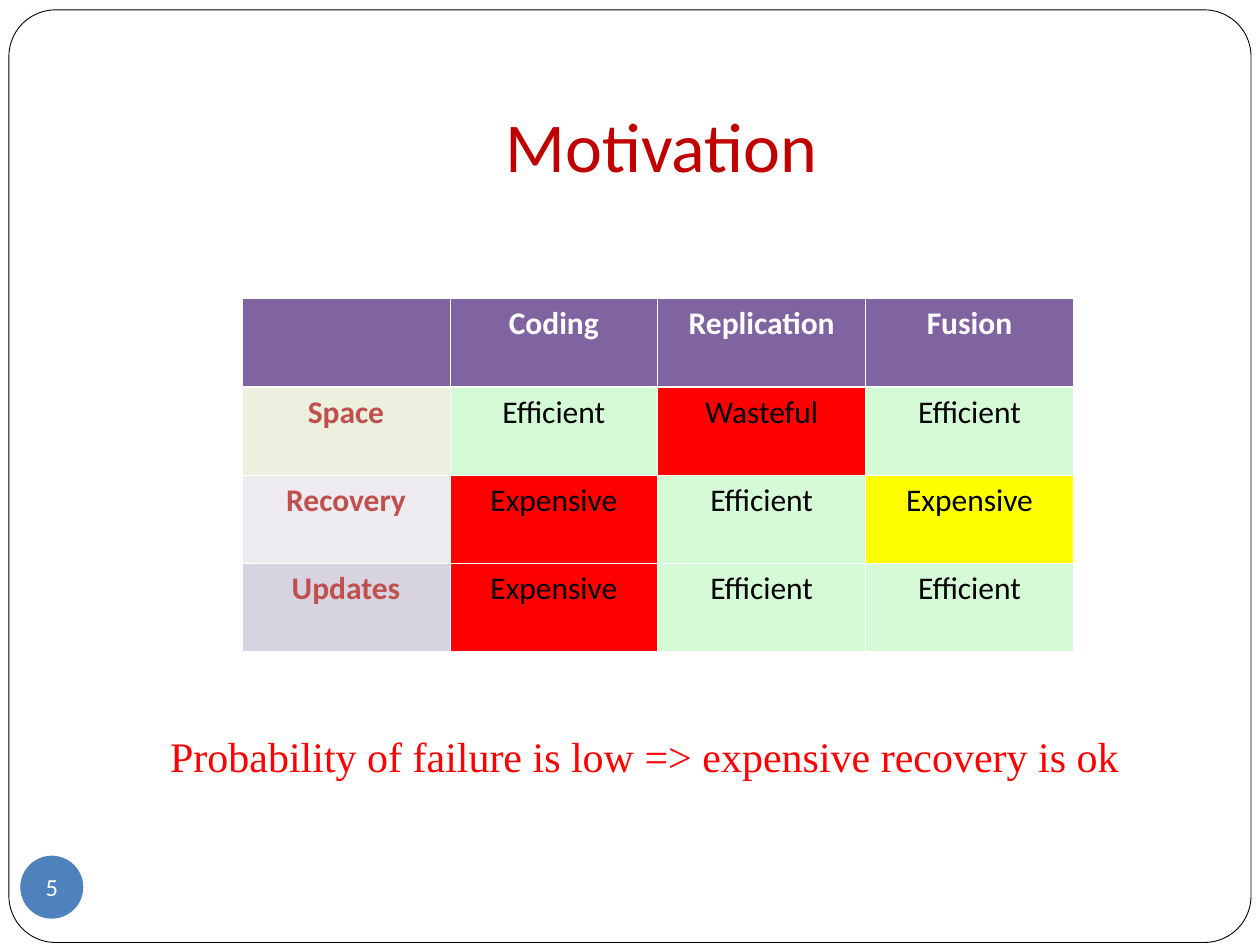
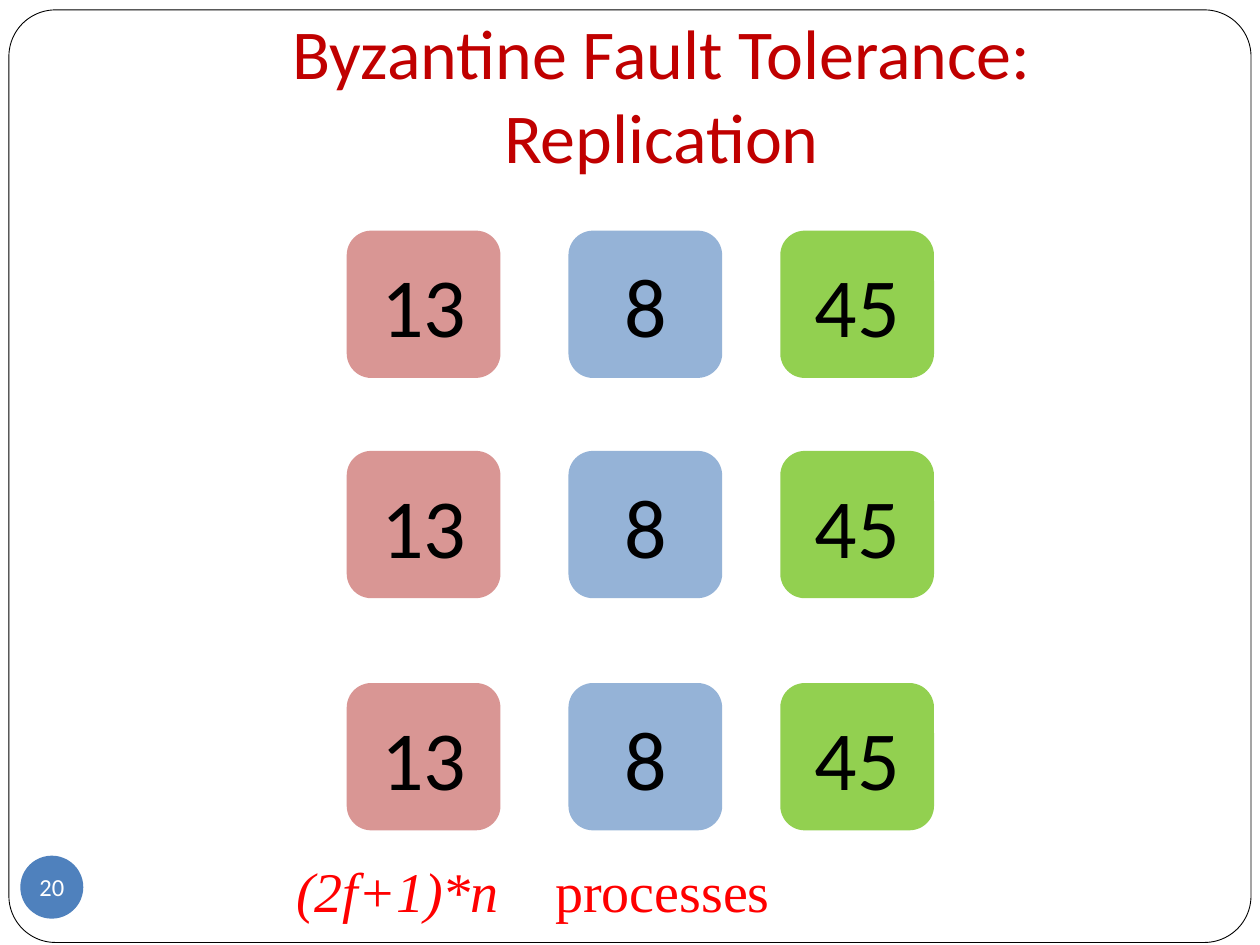
import pptx
import pptx.dml.color
import pptx.enum.shapes
import pptx.enum.text
import pptx.oxml
import pptx.oxml.ns
import pptx.util

Cm = pptx.util.Cm
Pt = pptx.util.Pt
SHAPE = pptx.enum.shapes.MSO_SHAPE
ALIGN = pptx.enum.text.PP_ALIGN
ANCHOR = pptx.enum.text.MSO_ANCHOR

SANS, SERIF = "Calibri", "Times New Roman"
WHITE, BLACK, RED = "FFFFFF", "000000", "FF0000"
TITLE, BADGE = "C00000", "4F81BD"
HEAD, LABEL = "8064A2", "C0504D"
GOOD, FAIR, BAD = "D5FBD6", "FFFF00", RED

HEADS = ["", "Coding", "Replication", "Fusion"]
ROWS = [
    ("Space", "EBF1DE", [("Efficient", GOOD), ("Wasteful", BAD), ("Efficient", GOOD)]),
    ("Recovery", "EDEAF0", [("Expensive", BAD), ("Efficient", GOOD), ("Expensive", FAIR)]),
    ("Updates", "D8D3E0", [("Expensive", BAD), ("Efficient", GOOD), ("Efficient", GOOD)]),
]
TILES = [(0, "13", "D99694"), (4.47, "8", "95B3D7"), (8.74, "45", "92D050")]
TILE_TOPS = [0, 4.44, 9.12]


def color(code):
    return pptx.dml.color.RGBColor.from_string(code)


def style(frame, size, ink, face=SANS, align=ALIGN.CENTER, bold=False):
    for para in frame.paragraphs:
        para.alignment = align
        for run in para.runs:
            font = run.font
            font.name, font.size, font.bold = face, Pt(size), bold
            font.color.rgb = color(ink)


def add_box(slide, kind, box, fill, line=None):
    shape = slide.shapes.add_shape(kind, *map(Cm, box))
    shape.shadow.inherit = False
    shape.fill.solid()
    shape.fill.fore_color.rgb = color(fill)
    if line:
        shape.line.color.rgb = color(line)
        shape.line.width = Pt(0.5)
    else:
        shape.line.fill.background()
    return shape


def add_text(slide, box, text):
    frame = slide.shapes.add_textbox(*map(Cm, box)).text_frame
    frame.word_wrap = True
    frame.text = text
    return frame


def add_base(deck, title, top, number):
    """Add a slide with its frame, title and number badge."""
    slide = deck.slides.add_slide(deck.slide_layouts[6])
    frame = add_box(slide, SHAPE.ROUNDED_RECTANGLE, (0.18, 0.2, 25.04, 18.8), WHITE, BLACK)
    frame.adjustments[0] = 0.05

    head = add_text(slide, (2.54, top, 21.59, 3.18), title)
    head.vertical_anchor = ANCHOR.BOTTOM
    head.margin_bottom = Cm(0.25)
    style(head, 40, TITLE)

    badge = add_box(slide, SHAPE.OVAL, (0.41, 17.25, 1.27, 1.27), BADGE).text_frame
    badge.margin_left = badge.margin_right = badge.margin_top = badge.margin_bottom = 0
    badge.word_wrap = False
    badge.vertical_anchor = ANCHOR.MIDDLE
    badge.text = number
    style(badge, 14, WHITE)
    return slide


def edge_cell(cell, top, bottom):
    """Draw white borders; top and bottom are widths in points."""
    props = cell._tc.get_or_add_tcPr()
    for side, width in (("L", 0.45), ("R", 0.45), ("T", top), ("B", bottom)):
        props.append(pptx.oxml.parse_xml(
            f'<a:ln{side} {pptx.oxml.ns.nsdecls("a")} w="{Pt(width)}">'
            f'<a:solidFill><a:srgbClr val="{WHITE}"/></a:solidFill></a:ln{side}>'))


def fill_cell(cell, text, fill, ink, bold, top=0.45, bottom=0.45):
    edge_cell(cell, top, bottom)
    cell.fill.solid()
    cell.fill.fore_color.rgb = color(fill)
    cell.text_frame.text = text
    style(cell.text_frame, 18, ink, bold=bold)


def add_costs(slide, box):
    """Compare the three methods in a table."""
    table = slide.shapes.add_table(len(ROWS) + 1, len(HEADS), *map(Cm, box)).table
    for col, text in enumerate(HEADS):
        fill_cell(table.cell(0, col), text, HEAD, WHITE, True, bottom=1.47)
    for row, (label, tint, marks) in enumerate(ROWS, 1):
        top = 1.47 if row == 1 else 0.45
        fill_cell(table.cell(row, 0), label, tint, LABEL, True, top)
        for col, (text, fill) in enumerate(marks, 1):
            fill_cell(table.cell(row, col), text, fill, BLACK, False, top)


def add_tiles(slide, left, top):
    for down in TILE_TOPS:
        for across, text, fill in TILES:
            box = (left + across, top + down, 3.1, 2.97)
            frame = add_box(slide, SHAPE.ROUNDED_RECTANGLE, box, fill).text_frame
            frame.vertical_anchor = ANCHOR.MIDDLE
            frame.text = text
            style(frame, 48, BLACK)


def add_count(slide, box):
    """State the number of processes, with the term set at a tab stop."""
    frame = add_text(slide, box, "")
    para = frame.paragraphs[0]
    para._p.get_or_add_pPr().append(pptx.oxml.parse_xml(
        f'<a:tabLst {pptx.oxml.ns.nsdecls("a")}><a:tab pos="{Cm(5.22)}" algn="l"/></a:tabLst>'))
    for text, slant in (("(2f+1)*n", True), ("\tprocesses", False)):
        run = para.add_run()
        run.text = text
        run.font.italic = slant
    style(frame, 32, RED, SERIF, ALIGN.LEFT)


def main():
    deck = pptx.Presentation()
    deck.slide_width, deck.slide_height = Cm(25.4), Cm(19.05)

    slide = add_base(deck, "Motivation", 0.84, "5")
    add_costs(slide, (4.88, 6.02, 16.76, 7.11))
    note = add_text(slide, (3.18, 14.6, 20.12, 1.27),
                    "Probability of failure is low => expensive recovery is ok")
    style(note, 24, RED, SERIF, ALIGN.LEFT)

    slide = add_base(deck, "Byzantine Fault Tolerance: Replication", 0.64, "20")
    add_tiles(slide, 6.99, 4.65)
    add_count(slide, (5.72, 17.15, 12.07, 1.8))

    deck.save("out.pptx")


if __name__ == "__main__":
    main()
